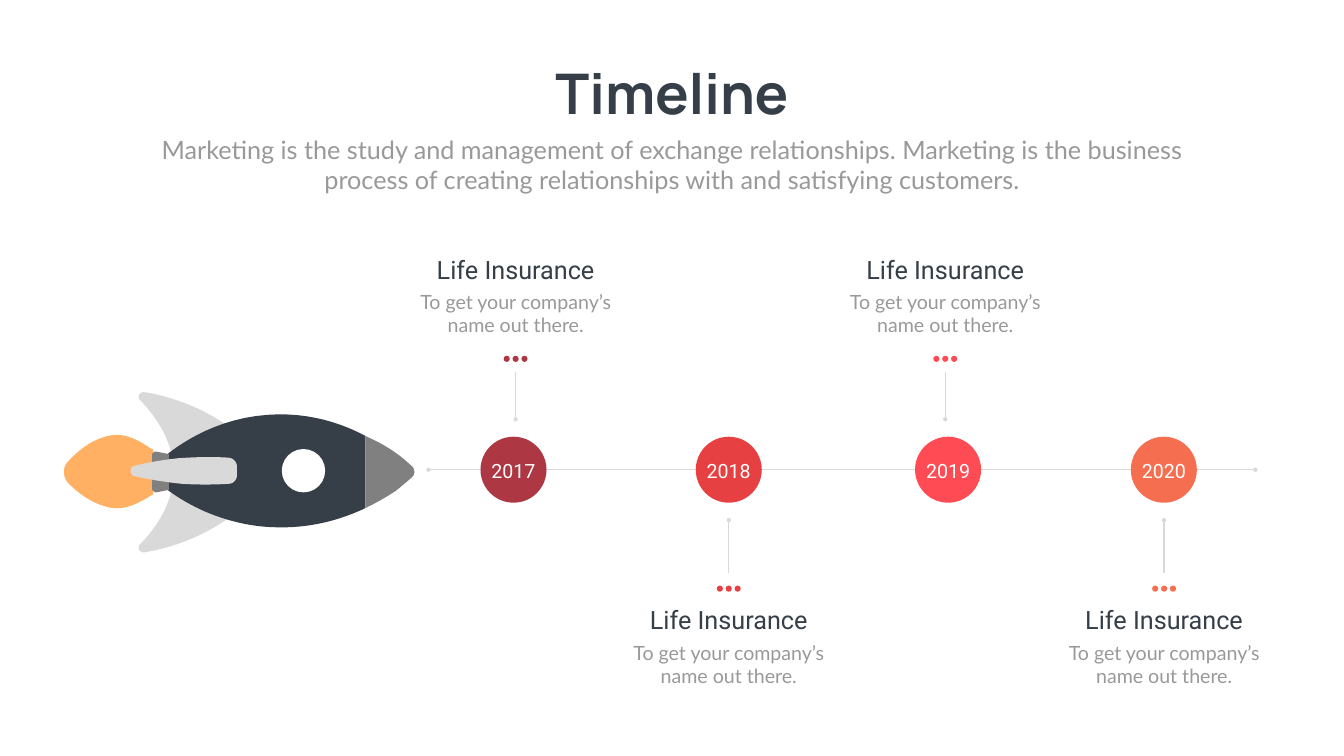
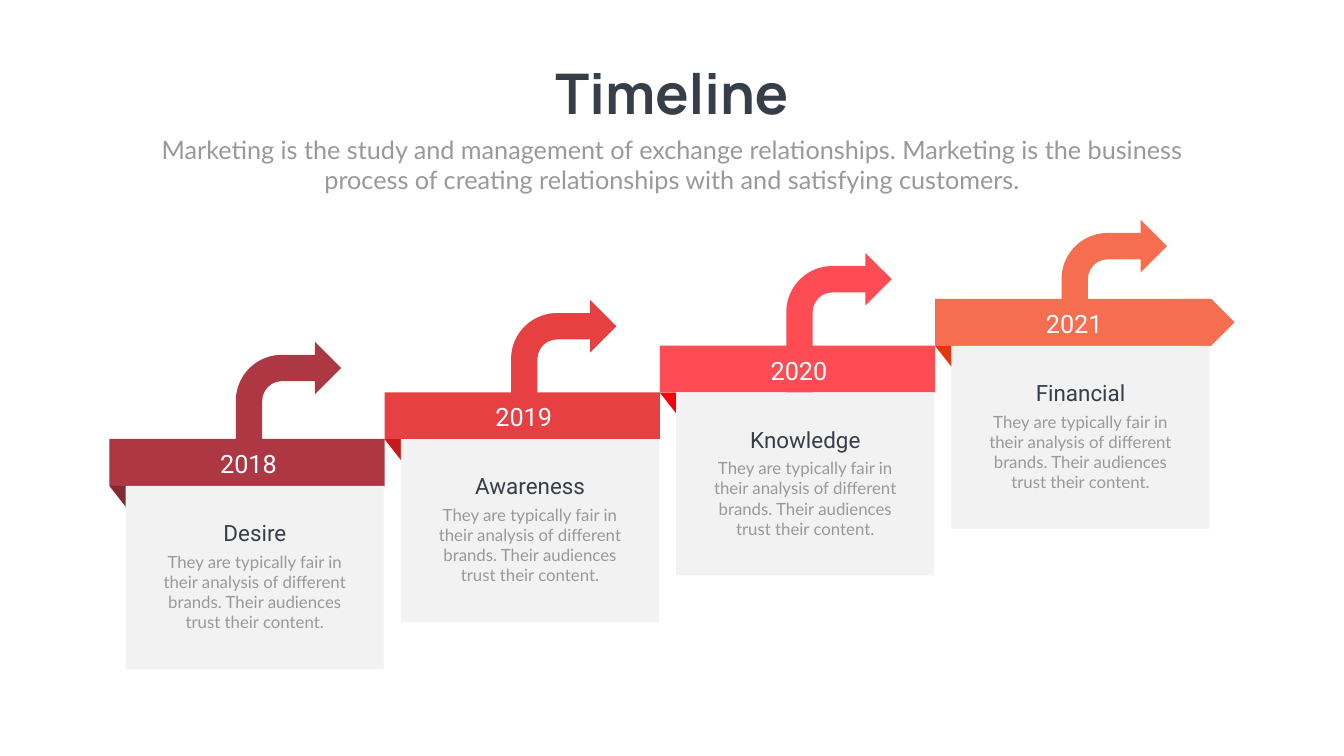
"""Builds two timeline slides: a rocket with four stops, and four rising steps."""
from dataclasses import dataclass

from lxml.etree import SubElement
from pptx import Presentation
from pptx.dml.color import RGBColor
from pptx.enum.shapes import MSO_CONNECTOR, MSO_SHAPE
from pptx.enum.text import MSO_ANCHOR, MSO_AUTO_SIZE, PP_ALIGN
from pptx.oxml.ns import qn
from pptx.util import Pt


@dataclass(frozen=True)
class Theme:
    back: str = "FEFFFE"
    white: str = "FFFFFF"
    dark: str = "363E48"
    gray: str = "999999"
    steel: str = "808080"
    pale: str = "D9D9D9"
    card: str = "F2F2F2"
    flame: str = "FFB063"
    hues: tuple = ("AD3743", "E74042", "FF4B54", "F56E4F")
    folds: tuple = ("822932", "C5191B", "F8000C", "E6360D")
    title: tuple = ("Manrope", 80)
    lead: tuple = ("Lato", 36)
    head: tuple = ("Roboto", 36)
    name: tuple = ("Roboto", 32)
    year: tuple = ("Roboto", 28)
    note: tuple = ("Lato", 28)
    small: tuple = ("Lato", 24)


T = Theme()
WIDE, HIGH = 1919.52, 1080
TITLE = "Timeline"
LEAD = ("Marketing is the study and management of exchange relationships. "
        "Marketing is the business process of creating relationships with "
        "and satisfying customers.")

STOP_HEAD = "Life Insurance"
STOP_NOTE = "To get your company’s name out there."
# year, disc centre, note centre
STOPS = [("2017", 733.4, 736.4), ("2018", 1040.8, 1040.8),
         ("2019", 1354, 1350), ("2020", 1662.2, 1662.6)]
UPPER = {"head": 359.3, "note": 410.4, "dots": 508.3, "stem": (599, 532)}
LOWER = {"head": 860.4, "note": 911.5, "dots": 836.6, "stem": (743, 818.6)}

STEP_NOTE = ("They are typically fair in their analysis of different brands. "
             "Their audiences trust their content.")
# year, name, arrow rise
STEPS = [("2018", "Desire", 139), ("2019", "Awareness", 132),
         ("2020", "Knowledge", 132.5), ("2021", "Financial", 113)]

FLAME = [(91.4, 673.9), (91.4, 668.2, 93.6, 663.1, 96.5, 660.2),
         (113.8, 640.8, 133.2, 627.8, 154.1, 622.8),
         (177.8, 617, 197.3, 629.3, 210.2, 637.2),
         (213.1, 639.4, 215.3, 640.8, 218.9, 642.2), (218.9, 706.3),
         (215.3, 707.8, 213.1, 709.2, 210.2, 711.4),
         (196.6, 718.6, 177.1, 730.8, 153.4, 724.3),
         (133.2, 719.3, 113.8, 707, 96.5, 689),
         (93.6, 685.4, 91.4, 680.4, 91.4, 673.9)]
FIN = [(198, 567.4), (198, 565.2, 198.7, 563, 200.2, 562.3),
       (201.6, 560.9, 203.8, 560.2, 205.9, 560.2),
       (229.7, 563.8, 252.7, 571, 275, 580.3),
       (296.6, 589.7, 317.5, 601.9, 336.2, 616.3),
       (339.8, 619.2), (249.1, 668.2), (248.4, 663.8),
       (246.2, 649.4, 241.9, 635.8, 236.2, 622.8),
       (227.5, 604.1, 215, 587, 200.2, 571.7),
       (198.7, 571, 198, 568.8, 198, 567.4)]
HULL = [(238.3, 649.4), (262.8, 630, 312.5, 597.6, 382.3, 592.6),
        (442.8, 588.2, 491, 606.2, 522, 622.8), (522, 725.8),
        (491.8, 740.2, 445.7, 756, 388.1, 753.1),
        (355.7, 751.7, 323.3, 743.8, 293, 730.8),
        (273.6, 722.2, 255.6, 712.1, 238.3, 699.1)]
NOSE = [(522, 622.8), (526.3, 625),
        (540.7, 631.4, 553.7, 638.6, 566.6, 648),
        (573.8, 653, 581, 659.5, 587.5, 665.3),
        (590.4, 667.4, 591.8, 671, 591.8, 673.9),
        (591.8, 677.5, 590.4, 680.4, 587.5, 682.6),
        (580.3, 689, 572.4, 695.5, 565.2, 701.3),
        (553, 709.2, 540, 717.1, 526.3, 723.6), (522, 725.8)]
NECK = [(217.4, 649.4), (217.4, 648, 218.2, 647.3, 219.6, 645.8),
        (220.3, 645.1, 221.8, 645.1, 223.2, 645.1),
        (241.2, 648.7), (241.2, 699.8), (223.2, 703.4),
        (221.8, 703.4, 220.3, 702.7, 219.6, 702),
        (218.2, 701.3, 217.4, 699.8, 217.4, 699.1)]
PIN = [(186.5, 672.5), (186.5, 668.9, 189.4, 665.3, 193, 665.3),
       (213.8, 660.2, 234.7, 656.6, 256.3, 654.5),
       (279.4, 653, 302.4, 652.3, 326.2, 653.8),
       (333.4, 654.5, 338.4, 660.2, 338.4, 666.7), (338.4, 679),
       (338.4, 685.4, 333.4, 691.2, 326.2, 691.2),
       (304.6, 692.6, 281.5, 692.6, 259.9, 691.2),
       (237.6, 689, 215.3, 685.4, 193, 680.4),
       (189.4, 679.7, 186.5, 676.8, 186.5, 672.5)]
AXIS = 674.65


def color(code):
    return RGBColor.from_string(code)


def paint(shape, hue):
    shape.shadow.inherit = False
    shape.fill.solid()
    shape.fill.fore_color.rgb = color(hue)
    shape.line.fill.background()
    return shape


def block(shapes, kind, x, y, w, h, hue):
    return paint(shapes.add_shape(kind, Pt(x), Pt(y), Pt(w), Pt(h)), hue)


def write(shape, text, style, hue, bold=False, wrap=True):
    frame = shape.text_frame
    frame.text = text
    frame.word_wrap = wrap
    frame.auto_size = MSO_AUTO_SIZE.NONE
    frame.vertical_anchor = MSO_ANCHOR.TOP
    para = frame.paragraphs[0]
    para.alignment = PP_ALIGN.CENTER
    para.space_before = Pt(0)
    font = para.runs[0].font
    font.name, font.size = style[0], Pt(style[1])
    font.bold = bold
    font.color.rgb = color(hue)


def label(slide, x, y, w, h, text, style, hue):
    box = slide.shapes.add_textbox(Pt(x), Pt(y), Pt(w), Pt(h))
    write(box, text, style, hue)


def place(shape, x, y, w, h):
    shape.left, shape.top, shape.width, shape.height = Pt(x), Pt(y), Pt(w), Pt(h)


def rule(slide, start, end, *tips):
    line = slide.shapes.add_connector(
        MSO_CONNECTOR.STRAIGHT, *[Pt(v) for v in start + end])
    line.line.color.rgb = color(T.pale)
    line.line.width = Pt(2)
    stroke = line.line.fill._xPr
    for tip in tips:
        SubElement(stroke, qn(f"a:{tip}"), type="oval")
    SubElement(line._element.spPr, qn("a:effectLst"))


def trace(route, count=12):
    spots = [route[0]]
    for part in route[1:]:
        if len(part) == 2:
            spots.append(part)
            continue
        ends = [spots[-1], part[:2], part[2:4], part[4:]]
        for i in range(1, count + 1):
            t = i / count
            mix = ((1 - t) ** 3, 3 * t * (1 - t) ** 2, 3 * t * t * (1 - t), t ** 3)
            spots.append(tuple(sum(m * p[k] for m, p in zip(mix, ends))
                               for k in (0, 1)))
    return [(Pt(x), Pt(y)) for x, y in spots]


def flip(route):
    return [tuple(2 * AXIS - v if i % 2 else v for i, v in enumerate(part))
            for part in route]


def rocket(slide):
    shapes = slide.shapes.add_group_shape().shapes
    for route, hue in [(FLAME, T.flame), (flip(FIN), T.pale), (FIN, T.pale),
                       (HULL, T.dark), (NOSE, T.steel), (NECK, T.steel),
                       (PIN, T.pale)]:
        spots = trace(route)
        form = shapes.build_freeform(*spots[0])
        form.add_line_segments(spots[1:], close=True)
        paint(form.convert_to_shape(), hue)
    block(shapes, MSO_SHAPE.OVAL, 402.5, 641.5, 61.9, 61.9, T.white)


def start(deck):
    slide = deck.slides.add_slide(deck.slide_layouts[1])
    title, lead = slide.placeholders
    place(title, 773.3, 80.6, 373, 104.4)
    write(title, TITLE, T.title, T.dark, bold=True, wrap=False)
    place(lead, 210.2, 187.9, 1499, 94.3)
    write(lead, LEAD, T.lead, T.gray)
    props = lead.text_frame.paragraphs[0]._p.get_or_add_pPr()
    props.set("marL", "0")
    props.set("indent", "0")
    SubElement(props, qn("a:buNone"))
    return slide


def journey(deck):
    slide = start(deck)
    mid, disc, dot, pitch = 671, 94.3, 8.64, 12.7
    rule(slide, (612, mid), (1792.8, mid), "headEnd", "tailEnd")
    rocket(slide)
    for i, ((year, x, spot), hue) in enumerate(zip(STOPS, T.hues)):
        side = LOWER if i % 2 else UPPER
        near, far = side["stem"]
        rule(slide, (spot, near), (spot, far), "headEnd")
        dots = slide.shapes.add_group_shape().shapes
        for k in (-1, 0, 1):
            block(dots, MSO_SHAPE.OVAL, spot + k * pitch - dot / 2,
                  side["dots"], dot, dot, hue)
        label(slide, spot - 144, side["head"], 288, 51.1, STOP_HEAD, T.head, T.dark)
        label(slide, spot - 165.2, side["note"], 330.5, 74.9, STOP_NOTE, T.note, T.gray)
        block(slide.shapes, MSO_SHAPE.OVAL, x - disc / 2, mid - disc / 2,
              disc, disc, hue)
        label(slide, x - 59.8, 651.6, 119.5, 41, year, T.year, T.white)


def stairs(deck):
    slide = start(deck)
    shapes = slide.shapes
    wide, high, climb = 393.1, 67, 66.7
    for i, (year, name, rise) in enumerate(STEPS):
        hue = T.hues[i]
        x, y = 156.2 + i * wide, 627.1 - i * climb
        left, top = x + 23.2, y + high
        block(shapes, MSO_SHAPE.BENT_ARROW, x + 180.6, y - rise, 150.5, 200.9, hue)
        block(shapes, MSO_SHAPE.RECTANGLE, x, y, wide, high, hue)
        if i == len(STEPS) - 1:
            block(shapes, MSO_SHAPE.PENTAGON, x + 353.6, y, 74.2, high, hue)
        label(slide, x + 38.9, y + 9.8, 319.7, 51.1, year, T.head, T.white)
        fold = block(shapes, MSO_SHAPE.RIGHT_TRIANGLE, x, top, 23.6, 30.2, T.folds[i])
        fold.rotation = 180
        block(shapes, MSO_SHAPE.RECTANGLE, left, top, 368.6, 261.4, T.card)
        label(slide, left + 29.9, top + 90, 308.9, 123.8, STEP_NOTE, T.small, T.gray)
        label(slide, left + 24.8, top + 43.9, 319.7, 46.1, name, T.name, T.dark)


def main():
    deck = Presentation()
    deck.slide_width, deck.slide_height = Pt(WIDE), Pt(HIGH)
    fill = deck.slide_master.background.fill
    fill.solid()
    fill.fore_color.rgb = color(T.back)
    journey(deck)
    stairs(deck)
    deck.save("out.pptx")


if __name__ == "__main__":
    main()
